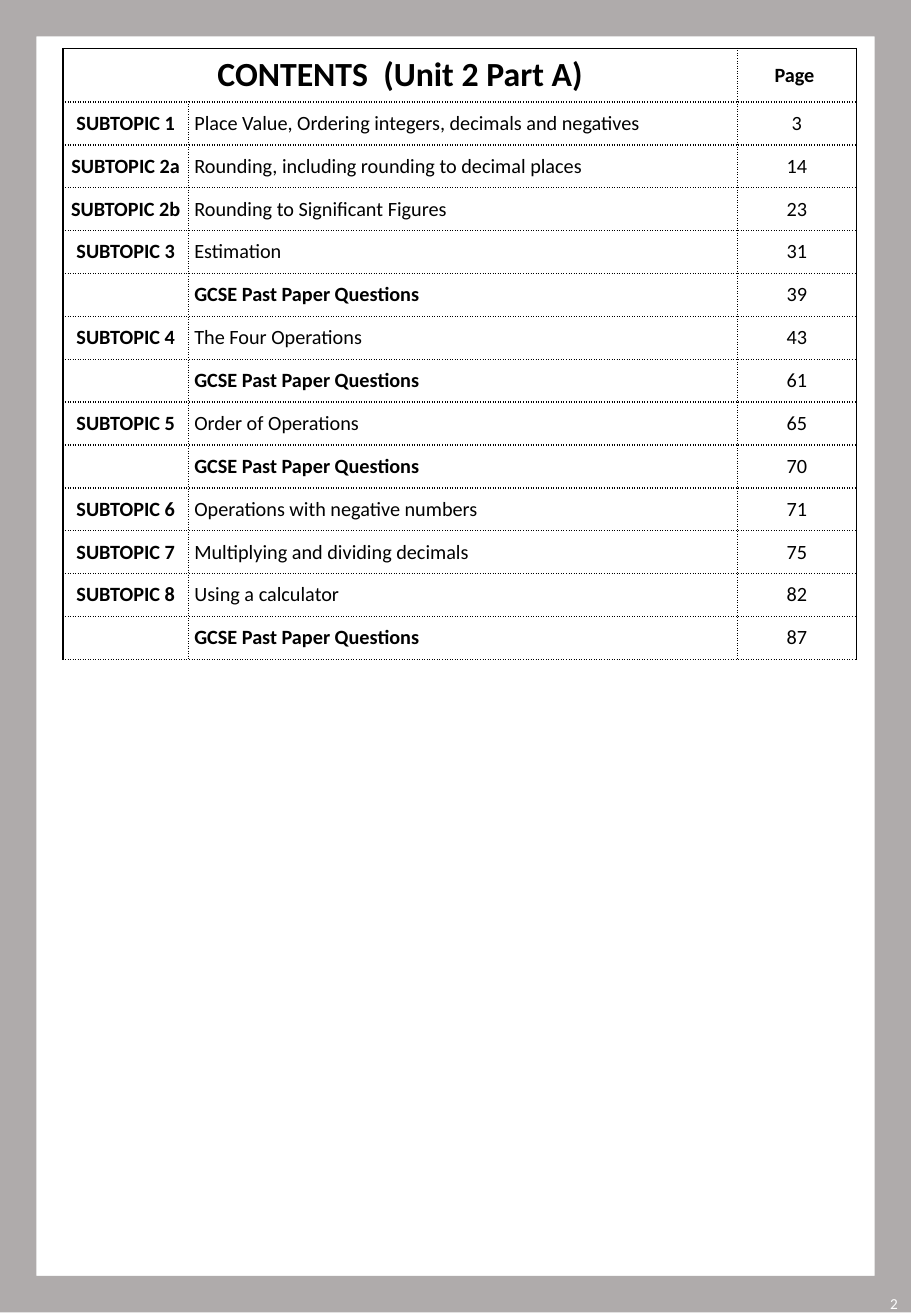
from pptx import Presentation
from pptx.dml.color import RGBColor
from pptx.enum.text import MSO_ANCHOR, PP_ALIGN
from pptx.oxml import parse_xml
from pptx.oxml.ns import nsdecls
from pptx.util import Inches, Pt

# The grid has ten columns and ten rows to the inch
COLUMNS, ROWS = 75, 108.3
HEADER = ["CONTENTS  (Unit 2 Part A)", "", "Page "]
PAST_PAPER = ("", "GCSE Past Paper Questions")
CONTENTS = [
    ("SUBTOPIC 1", "Place Value, Ordering integers, decimals and negatives", 3),
    ("SUBTOPIC 2a", "Rounding, including rounding to decimal places", 14),
    ("SUBTOPIC 2b", "Rounding to Significant Figures", 23),
    ("SUBTOPIC 3", "Estimation", 31),
    (*PAST_PAPER, 39),
    ("SUBTOPIC 4", "The Four Operations", 43),
    (*PAST_PAPER, 61),
    ("SUBTOPIC 5", "Order of Operations", 65),
    (*PAST_PAPER, 70),
    ("SUBTOPIC 6", "Operations with negative numbers", 71),
    ("SUBTOPIC 7", "Multiplying and dividing decimals", 75),
    ("SUBTOPIC 8", "Using a calculator", 82),
    (*PAST_PAPER, 87),
]


def colour(value):
    return RGBColor.from_string(value)


def grid(units):
    return Inches(units / 10)


class Page:
    font, ink, paper, border = "Calibri", "000000", "FFFFFF", "AFABAB"

    def __init__(self, slide):
        self.slide = slide

    def style(self, paragraph, size, ink, bold=False, align=PP_ALIGN.LEFT):
        paragraph.alignment = align
        font = paragraph.font
        font.name, font.size, font.bold = self.font, Pt(size), bold
        font.color.rgb = colour(ink)

    def frame(self, outer, inner):
        start, *rest = outer
        builder = self.slide.shapes.build_freeform(*start, scale=grid(1))
        builder.add_line_segments(rest)
        builder.move_to(*inner[0])
        builder.add_line_segments(inner[1:])
        shape = builder.convert_to_shape()
        shape.shadow.inherit = False
        shape.fill.solid()
        shape.fill.fore_color.rgb = colour(self.border)
        shape.line.fill.background()

    def text(self, words, left, top, width, height, size):
        box = self.slide.shapes.add_textbox(*map(grid, (left, top, width, height)))
        box.text_frame.word_wrap = True
        box.text_frame.vertical_anchor = MSO_ANCHOR.MIDDLE
        paragraph = box.text_frame.paragraphs[0]
        paragraph.text = words
        self.style(paragraph, size, self.paper, align=PP_ALIGN.RIGHT)

    def edges(self, cell, solid):
        for side in "LRTB":
            dash = "solid" if side in solid else "sysDot"
            cell._tc.get_or_add_tcPr().append(parse_xml(
                f'<a:ln{side} {nsdecls("a")} w="12700"><a:solidFill>'
                f'<a:srgbClr val="{self.ink}"/></a:solidFill>'
                f'<a:prstDash val="{dash}"/></a:ln{side}>'))

    def cell(self, cell, words, size, bold, align, solid):
        cell.margin_left = cell.margin_right = grid(0.5)
        cell.margin_top = cell.margin_bottom = grid(0.2)
        cell.vertical_anchor = MSO_ANCHOR.MIDDLE
        paragraph = cell.text_frame.paragraphs[0]
        paragraph.text = words
        self.style(paragraph, size, self.ink, bold, align)
        self.edges(cell, solid)
        cell.fill.solid()
        cell.fill.fore_color.rgb = colour(self.paper)

    def contents(self, left, top, widths, header_height, height):
        lines = [HEADER, *CONTENTS]
        table = self.slide.shapes.add_table(
            len(lines), len(widths), grid(left), grid(top),
            grid(sum(widths)), grid(height)).table
        table.first_row = table.horz_banding = False
        for column, width in zip(table.columns, widths):
            column.width = grid(width)
        for row in table.rows:
            row.height = grid((height - header_height) / len(CONTENTS))
        table.rows[0].height = grid(header_height)
        table.cell(0, 0).merge(table.cell(0, 1))
        for r, line in enumerate(lines):
            for c, words in enumerate(line):
                cell = table.cell(r, c)
                if cell.is_spanned:
                    continue
                title = r == c == 0
                bold = r == 0 or c == 0 or (c == 1 and line[:2] == PAST_PAPER)
                align = PP_ALIGN.LEFT if c == 1 else PP_ALIGN.CENTER
                solid = ("L", "", "R")[c] + ("T" if r == 0 else "")
                self.cell(cell, str(words), 20 if title else 12, bold, align, solid)


def main():
    presentation = Presentation()
    presentation.slide_width, presentation.slide_height = grid(COLUMNS), grid(ROWS)
    page = Page(presentation.slides.add_slide(presentation.slide_layouts[6]))

    # Grey page border and page number
    page.frame(
        [(0, 0), (COLUMNS, 0), (COLUMNS, ROWS), (0, ROWS), (0, 0)],
        [(3.3, 3.1), (3.1, 105.3), (71.9, 105.3), (72, 3.1), (3.3, 3.1)])
    page.text("2", 58, 104.4, 16.9, 5.8, 9)

    # Table of contents
    page.contents(5.2, 4, (10.3, 45.2, 9.8), 4.4, 50.3)
    presentation.save("out.pptx")


if __name__ == "__main__":
    main()
